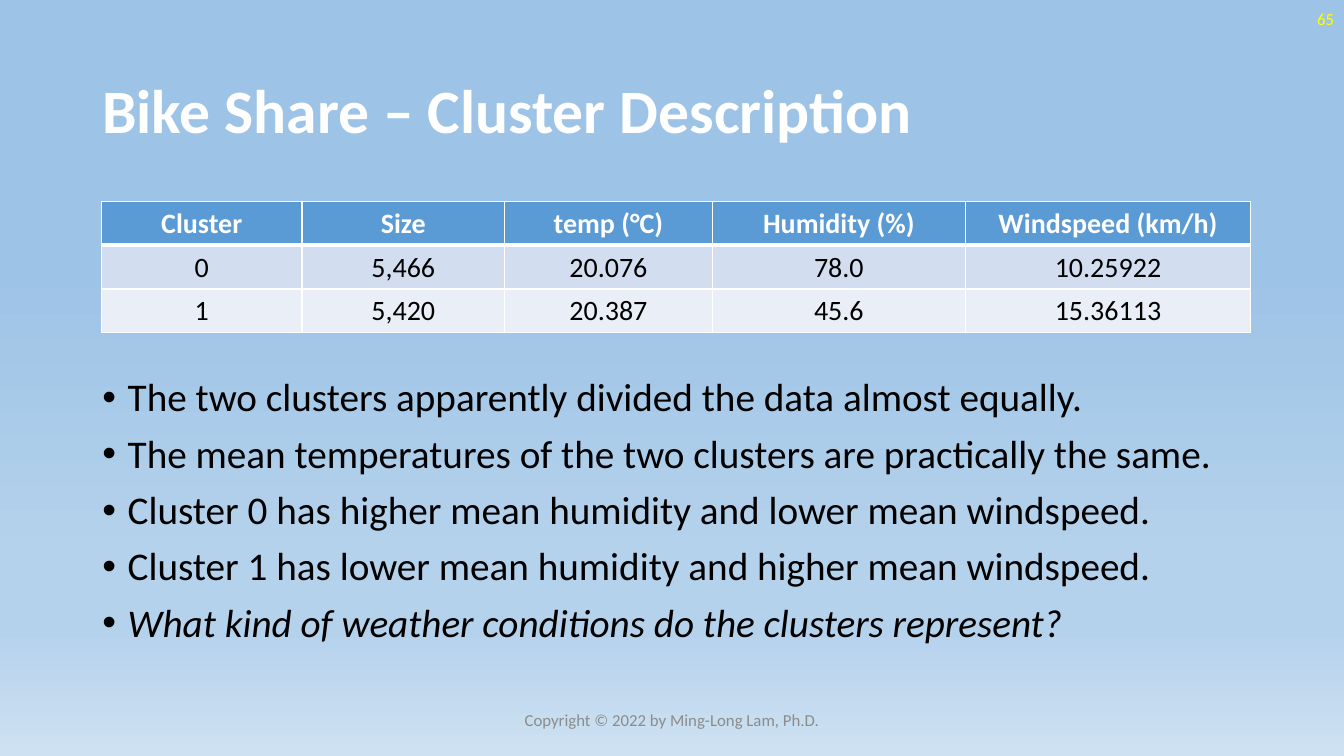
import pptx
import pptx.dml.color
import pptx.enum.text
import pptx.oxml
import pptx.oxml.ns
import pptx.util

Cm = pptx.util.Cm
Pt = pptx.util.Pt
Align = pptx.enum.text.PP_ALIGN
Anchor = pptx.enum.text.MSO_ANCHOR
NS = pptx.oxml.ns.nsdecls("a")

HUES = {
    "white": "FFFFFF", "black": "000000", "gray": "8C8C8C", "yellow": "FFFF00",
    "head": "5B9BD5", "odd": "D2DEEF", "even": "EAEFF7",
    "sky": "9DC3E6", "mist": "B5D2EC", "haze": "CEE1F2",
}
STOPS = [(35, "sky"), (74, "mist"), (83, "mist"), (100, "haze")]
WIDTHS = [5.05, 5.11, 5.23, 6.38, 7.19]
ROWS = [
    ["Cluster", "Size", "temp (°C)", "Humidity (%)", "Windspeed (km/h)"],
    ["0", "5,466", "20.076", "78.0", "10.25922"],
    ["1", "5,420", "20.387", "45.6", "15.36113"],
]
POINTS = [
    "The two clusters apparently divided the data almost equally.",
    "The mean temperatures of the two clusters are practically the same.",
    "Cluster 0 has higher mean humidity and lower mean windspeed.",
    "Cluster 1 has lower mean humidity and higher mean windspeed.",
    "What kind of weather conditions do the clusters represent?",
]


class Deck:
    """Holds the style and the current slide, and draws each kind of element."""

    def __init__(self):
        self.font = "Calibri"
        self.prs = pptx.Presentation()
        self.prs.slide_width = Cm(33.87)
        self.prs.slide_height = Cm(19.05)
        self.slide = self.prs.slides.add_slide(self.prs.slide_layouts[6])

    def color(self, name):
        return pptx.dml.color.RGBColor.from_string(HUES[name])

    def style(self, para, size, hue, bold=False, slant=False):
        for run in para.runs:
            run.font.name = self.font
            run.font.size = Pt(size)
            run.font.bold = bold
            run.font.italic = slant
            run.font.color.rgb = self.color(hue)

    def backdrop(self, stops):
        fill = self.slide.background.fill
        fill.gradient()
        fill.gradient_angle = 270
        grad = self.slide.element.find(".//" + pptx.oxml.ns.qn("a:gsLst"))
        for old in list(grad):
            grad.remove(old)
        for spot, hue in stops:
            grad.append(pptx.oxml.parse_xml(
                f'<a:gs {NS} pos="{spot * 1000}"><a:srgbClr val="{HUES[hue]}"/></a:gs>'))

    def frame(self, area, anchor):
        frame = self.slide.shapes.add_textbox(*map(Cm, area)).text_frame
        frame.word_wrap = True
        frame.vertical_anchor = anchor
        return frame

    def label(self, area, text, size, hue, align, bold=False):
        frame = self.frame(area, Anchor.MIDDLE)
        frame.text = text
        para = frame.paragraphs[0]
        para.alignment = align
        para.line_spacing = 0.9
        self.style(para, size, hue, bold)

    def bullets(self, area, lines, size, hue):
        frame = self.frame(area, Anchor.TOP)
        frame.text = "\n".join(lines)
        for num, para in enumerate(frame.paragraphs):
            props = para._p.get_or_add_pPr()
            props.set("marL", str(Cm(0.64)))
            props.set("indent", str(-Cm(0.64)))
            props.append(pptx.oxml.parse_xml(f'<a:buFont {NS} typeface="Arial"/>'))
            props.append(pptx.oxml.parse_xml(f'<a:buChar {NS} char="•"/>'))
            para.line_spacing = 0.9
            if num:
                para.space_before = Pt(10)
            self.style(para, size, hue, slant=num == len(lines) - 1)

    def border(self, cell, side, width):
        cell._tc.get_or_add_tcPr().append(pptx.oxml.parse_xml(
            f'<a:ln{side} {NS} w="{Pt(width)}"><a:solidFill>'
            f'<a:srgbClr val="{HUES["white"]}"/></a:solidFill></a:ln{side}>'))

    def table(self, left, top, widths, tall, rows, size):
        area = map(Cm, (left, top, sum(widths), tall * len(rows)))
        grid = self.slide.shapes.add_table(len(rows), len(widths), *area).table
        for col, width in zip(grid.columns, widths):
            col.width = Cm(width)
        for y, texts in enumerate(rows):
            grid.rows[y].height = Cm(tall)
            for x, text in enumerate(texts):
                cell = grid.cell(y, x)
                cell.text = text
                cell.vertical_anchor = Anchor.MIDDLE
                for side in "LRTB":
                    thick = (y, side) in ((0, "B"), (1, "T"))
                    self.border(cell, side, 3 if thick else 1)
                cell.fill.solid()
                cell.fill.fore_color.rgb = self.color(("head", "odd", "even")[y])
                para = cell.text_frame.paragraphs[0]
                para.alignment = Align.CENTER
                self.style(para, size, "black" if y else "white", bold=y == 0)


def main():
    deck = Deck()
    deck.backdrop(STOPS)
    deck.label((2.33, 1.01, 29.21, 3.68), "Bike Share – Cluster Description",
               44, "white", Align.LEFT, bold=True)
    deck.bullets((2.33, 9.4, 29.21, 7.77), POINTS, 28, "black")
    deck.label((11.22, 17.66, 11.43, 1.01), "Copyright © 2022 by Ming-Long Lam, Ph.D.",
               12, "gray", Align.CENTER)
    deck.label((26.25, 0, 7.62, 1.01), "65", 12, "yellow", Align.RIGHT)
    deck.table(2.56, 5.08, WIDTHS, 1.1, ROWS, 20)
    deck.prs.save("out.pptx")


if __name__ == "__main__":
    main()
